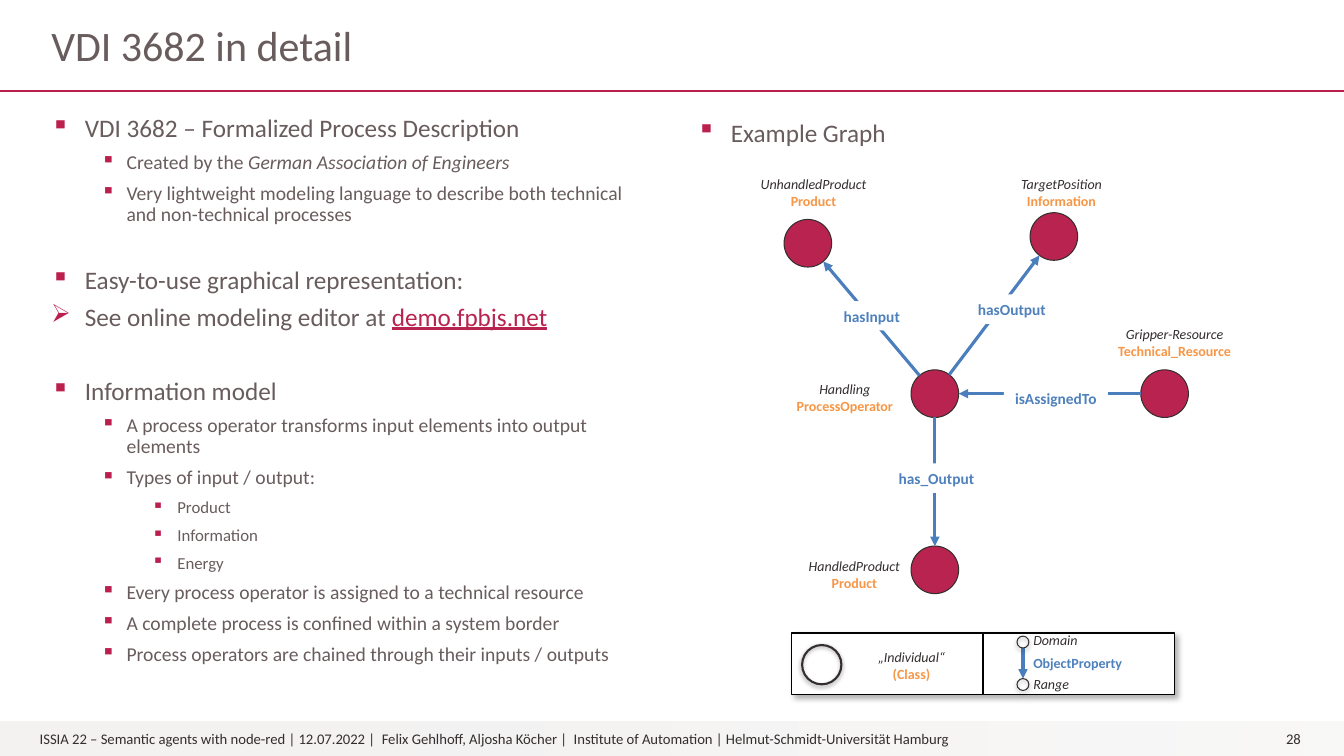
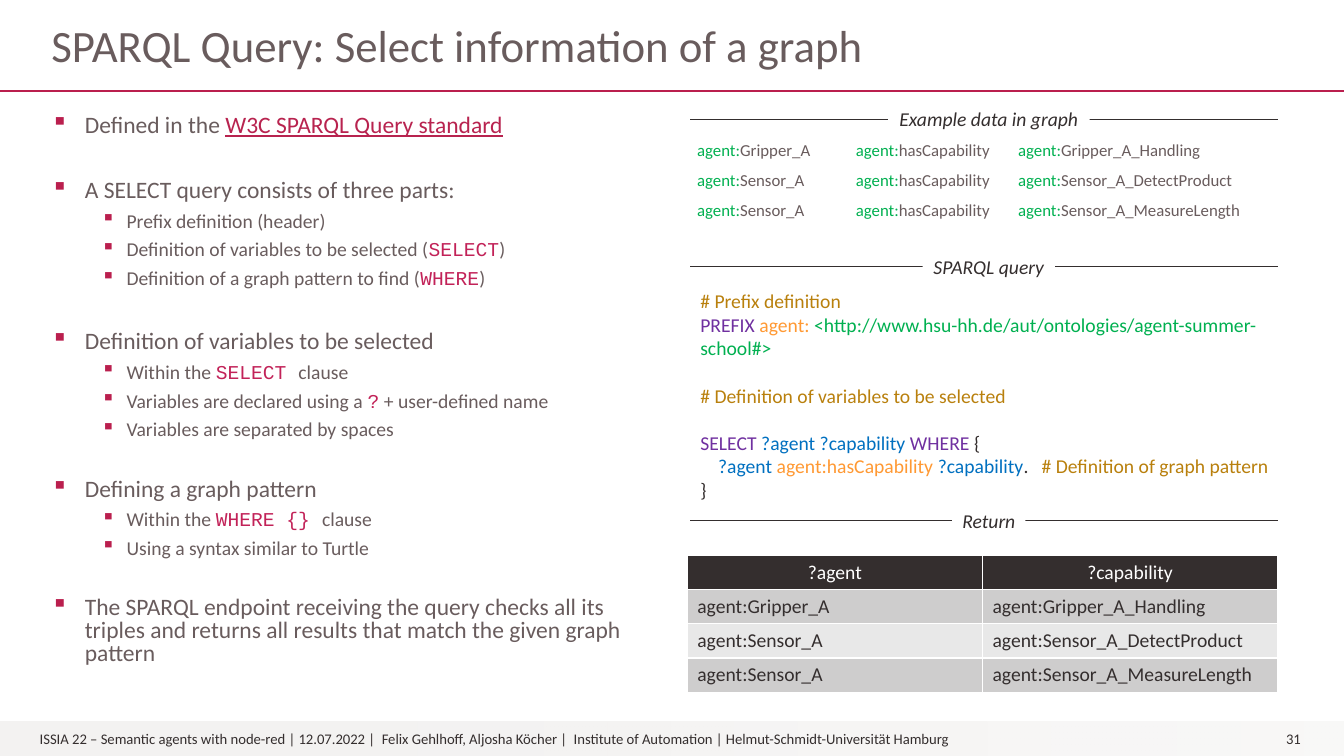
from math import hypot

from lxml.etree import SubElement
from pptx import Presentation
from pptx.dml.color import RGBColor
from pptx.enum.shapes import MSO_CONNECTOR as Link, MSO_SHAPE as Kind
from pptx.enum.text import MSO_ANCHOR as Anchor, MSO_AUTO_SIZE as Fit, PP_ALIGN as Align
from pptx.oxml.ns import qn
from pptx.util import Cm, Pt

RED, ROSE, GREY, DARK = "BA1F4E", "B8234F", "695C5D", "342E2E"
BLUE, SKY, ORANGE, WHITE = "4B7EBC", "4F81BD", "F79646", "FFFFFF"
GREEN, GOLD, PLUM, AMBER, VAR = "00B050", "B9800D", "7030A0", "FF9933", "0070C0"
WIDE, HIGH = 33.87, 19.05
LEFT = (1.04, 2.79, 15.42, 14.76)
INDENT = [(0.85, 0.85), (1.9, 0.64), (3.18, 0.64)]
FOOTER = ("ISSIA 22 – Semantic agents with node-red | 12.07.2022 |  Felix Gehlhoff, "
          "Aljosha Köcher |  Institute of Automation | Helmut-Schmidt-Universität Hamburg")

EM = dict(italic=True)
CODE = dict(color="C22258", name="Courier New")
URL = dict(color=ROSE, underline=True)
PRE = ("agent:", dict(color=GREEN))

# Each block: gap above in points, then (level, runs[, bullet]) items
DETAIL = [
    (0, [(0, "VDI 3682 – Formalized Process Description"),
         (1, ["Created by the ", ("German Association of Engineers", EM)]),
         (1, "Very lightweight modeling language to describe both technical "
             "and non-technical processes")]),
    (27.4, [(0, "Easy-to-use graphical representation:"),
            (0, ["See online modeling editor at ", ("demo.fpbjs.net", URL)], "➢")]),
    (31.8, [(0, "Information model"),
            (1, "A process operator transforms input elements into output elements"),
            (1, "Types of input / output:"),
            (2, "Product"),
            (2, "Information"),
            (2, "Energy"),
            (1, "Every process operator is assigned to a technical resource"),
            (1, "A complete process is confined within a system border"),
            (1, "Process operators are chained through their inputs / outputs")]),
]
QUERY = [
    (0, [(0, ["Defined in the ", ("W3C SPARQL Query standard", URL)])]),
    (28.4, [(0, "A SELECT query consists of three parts:"),
            (1, "Prefix definition (header)"),
            (1, ["Definition of variables to be selected (", ("SELECT", CODE), ")"]),
            (1, ["Definition of a graph pattern to find (", ("WHERE", CODE), ")"])]),
    (28.4, [(0, "Definition of variables to be selected"),
            (1, ["Within the ", ("SELECT ", CODE), "clause"]),
            (1, ["Variables are declared using a ", ("?", CODE), " + user-defined name"]),
            (1, "Variables are separated by spaces")]),
    (25.7, [(0, "Defining a graph pattern"),
            (1, ["Within the ", ("WHERE {} ", CODE), "clause"]),
            (1, "Using a syntax similar to Turtle")]),
    (25.7, [(0, "The SPARQL endpoint receiving the query checks all its triples and "
                "returns all results that match the given graph pattern")]),
]

# Node: centre, then caption (name, class, centre x, top)
NODES = {
    "oper": ((23.56, 9.92), ("Handling", "ProcessOperator", 21.29, 9.47)),
    "raw": ((20.36, 6.13), ("UnhandledProduct", "Product", 20.5, 4.29)),
    "goal": ((26.56, 5.96), ("TargetPosition", "Information", 26.75, 4.29)),
    "grip": ((29.35, 9.92), ("Gripper-Resource", "Technical_Resource", 29.6, 8.08)),
    "done": ((23.56, 14.36), ("HandledProduct", "Product", 21.53, 13.92)),
}
# Edge: from, to, label, label centre, label width
EDGES = [
    ("oper", "raw", "hasInput", (21.97, 7.96), 1.93),
    ("oper", "goal", "hasOutput", (25.5, 7.79), 2.24),
    ("oper", "done", "has_Output", (23.6, 12.05), 2.44),
    ("grip", "oper", "isAssignedTo", (26.61, 10.05), 2.62),
]
HEADS = [("Example data in graph", 3, 5.08), ("SPARQL query", 6.71, 3.33),
         ("Return", 13.11, 1.85)]
FACTS = [("Gripper_A", "Gripper_A_Handling"), ("Sensor_A", "Sensor_A_DetectProduct"),
         ("Sensor_A", "Sensor_A_MeasureLength")]
SPARQL = [
    [[("# Prefix definition", GOLD)],
     [("PREFIX ", PLUM), ("agent: ", AMBER),
      ("<http://www.hsu-hh.de/aut/ontologies/agent-summer-school#>", GREEN)]],
    [[("# Definition of variables to be selected", GOLD)]],
    [[("SELECT ", PLUM), ("?agent ?capability ", VAR), ("WHERE ", PLUM), ("{", DARK)],
     [("    ?agent ", VAR), ("agent:hasCapability ", AMBER), ("?capability", VAR),
      (".\t", DARK), ("# Definition of graph pattern", GOLD)],
     [("}", DARK)]],
]


def rgb(code):
    return RGBColor.from_string(code)


def style(font, **look):
    for key, val in look.items():
        if key == "color":
            font.color.rgb = rgb(val)
        else:
            setattr(font, key, Pt(val) if key == "size" else val)


def write(par, runs, tabs=(), **look):
    """Fill a paragraph with plain strings or (text, look) runs."""
    if tabs:
        stops = SubElement(par._p.get_or_add_pPr(), qn("a:tabLst"))
        for pos in tabs:
            SubElement(stops, qn("a:tab"), pos=str(Cm(pos)), algn="l")
    style(par.font, **{"name": "Calibri", "color": GREY, **look})
    for part in [runs] if isinstance(runs, str) else runs:
        text, own = (part, {}) if isinstance(part, str) else part
        run = par.add_run()
        run.text = text
        style(run.font, **own)


def next_par(frame, first):
    return frame.paragraphs[0] if first else frame.add_paragraph()


def text_box(shapes, box, rows=(), align=Align.LEFT, **look):
    frame = shapes.add_textbox(*map(Cm, box)).text_frame
    frame.word_wrap = True
    for i, runs in enumerate(rows):
        par = next_par(frame, i == 0)
        par.alignment = align
        write(par, runs, **look)
    return frame


def bullets(slide, box, blocks, sizes, pitch):
    frame = text_box(slide.shapes, box)
    first = True
    for gap, items in blocks:
        for i, (level, runs, *mark) in enumerate(items):
            par = next_par(frame, first)
            par.level = level
            props = par._p.get_or_add_pPr()
            left, hang = INDENT[level]
            props.set("marL", str(Cm(left)))
            props.set("indent", str(-Cm(hang)))
            SubElement(SubElement(props, qn("a:buClr")), qn("a:srgbClr"), val=RED)
            SubElement(props, qn("a:buChar"), char=mark[0] if mark else "▪")
            par.line_spacing = pitch
            par.space_before = Pt(0 if first else 5 if i else gap)
            par.space_after = Pt(2)
            write(par, runs, size=sizes[level])
            first = False


def shape(shapes, kind, mid, area, fill=None, line=None, width=0.75):
    """Add a preset shape around its centre."""
    (x, y), (w, h) = mid, area
    item = shapes.add_shape(kind, Cm(x - w / 2), Cm(y - h / 2), Cm(w), Cm(h))
    item.shadow.inherit = False
    if fill:
        item.fill.solid()
        item.fill.fore_color.rgb = rgb(fill)
    else:
        item.fill.background()
    if line:
        item.line.color.rgb = rgb(line)
        item.line.width = Pt(width)
    else:
        item.line.fill.background()
    return item


def shade(item, alpha, blur, dist, angle):
    cast = SubElement(item.element.spPr.find(qn("a:effectLst")), qn("a:outerShdw"),
                      blurRad=str(Pt(blur)), dist=str(Pt(dist)),
                      dir=str(angle * 60000), algn="ctr", rotWithShape="0")
    tone = SubElement(cast, qn("a:srgbClr"), val="000000")
    SubElement(tone, qn("a:alpha"), val=str(alpha * 1000))


def rule(shapes, start, end, color, width, arrow=False):
    line = shapes.add_connector(Link.STRAIGHT, *map(Cm, (*start, *end)))
    line.line.color.rgb = rgb(color)
    line.line.width = Pt(width)
    props = line.element.spPr
    if arrow:
        SubElement(props.find(qn("a:ln")), qn("a:tailEnd"), type="triangle")
    SubElement(props, qn("a:effectLst"))
    return line


def arrow(shapes, start, end, size):
    """Join the rims of two circles of one diameter."""
    dx, dy = end[0] - start[0], end[1] - start[1]
    part = size / 2 / hypot(dx, dy)
    dx, dy = dx * part, dy * part
    rule(shapes, (start[0] + dx, start[1] + dy), (end[0] - dx, end[1] - dy),
         BLUE, 2.25, True)


def label(shapes, text, mid, area, **look):
    frame = shape(shapes, Kind.RECTANGLE, mid, area, WHITE).text_frame
    frame.word_wrap = False
    frame.vertical_anchor = Anchor.MIDDLE
    frame.paragraphs[0].alignment = Align.CENTER
    write(frame.paragraphs[0], text, **look)


def caption(shapes, name, group, x, top):
    rows = [[(name, EM)], [(group, dict(bold=True, color=ORANGE))]]
    text_box(shapes, (x - 2, top, 4, 1.12), rows, Align.CENTER, size=10, color=DARK)


def new_slide(deck, title, size, number):
    slide = deck.slides.add_slide(deck.slide_layouts[5])
    head = slide.shapes.title
    head.left, head.top, head.width, head.height = map(Cm, (1.04, 0.25, 28.85, 1.93))
    frame = head.text_frame
    frame.auto_size = Fit.NONE
    frame.vertical_anchor = Anchor.MIDDLE
    par = frame.paragraphs[0]
    par.alignment = Align.LEFT
    par.line_spacing = 0.9
    write(par, title, size=size)

    bar = shape(slide.shapes, Kind.RECTANGLE, (WIDE / 2, 18.62), (WIDE, 0.88))
    bar.fill.gradient()
    bar.fill.gradient_angle = 0
    for stop, pos in zip(bar.fill.gradient_stops, (0.28, 1)):
        stop.position = pos
        stop.color.rgb = rgb("A69D97")
    for tone, alpha in zip(bar.element.spPr.iter(qn("a:srgbClr")), (13, 7)):
        SubElement(tone, qn("a:alpha"), val=str(alpha * 1000))
    frame = bar.text_frame
    frame.margin_left = Cm(1)
    frame.vertical_anchor = Anchor.MIDDLE
    frame.paragraphs[0].alignment = Align.LEFT
    write(frame.paragraphs[0], FOOTER, size=10.5, color=DARK)
    text_box(slide.shapes, (32.16, 18.26, 1.4, 0.71), [number], size=10.5, color=DARK)
    rule(slide.shapes, (0, 2.29), (WIDE, 2.29), RED, 1.5)
    return slide


def legend(slide):
    shapes = slide.shapes.add_group_shape().shapes
    panel = shape(shapes, Kind.RECTANGLE, (24.77, 16.73), (9.65, 1.55), WHITE, "000000", 1)
    shade(panel, 31, 4, 3, 45)
    split = rule(shapes, (24.77, 15.95), (24.77, 17.5), "000000", 1)
    split.begin_connect(panel, 0)
    split.end_connect(panel, 2)
    caption(shapes, "„Individual“", "(Class)", 22.97, 16.21)
    ends = (25.78, 16.18), (25.78, 17.25)
    arrow(shapes, *ends, 0.3)
    for mid, size, width in [((20.71, 16.75), 0.99, 1.5)] + [(end, 0.3, 0.75) for end in ends]:
        ring = shape(shapes, Kind.OVAL, mid, (size, size), None, DARK, width)
        shade(ring, 38, 3.1, 1.6, 90)
    for text, top, look in [("Domain", 15.8, dict(italic=True, color=DARK)),
                            ("ObjectProperty", 16.36, dict(bold=True, color=SKY)),
                            ("Range", 16.89, dict(italic=True, color=DARK))]:
        text_box(shapes, (25.79, top, 3.1, 0.69), [text], size=10, **look)


def detail_slide(deck):
    slide = new_slide(deck, "VDI 3682 in detail", 30, "28")
    shapes = slide.shapes
    bullets(slide, LEFT, DETAIL, (18, 14, 12), 0.9)
    bullets(slide, (17.32, 2.82, 15.42, 1.12), [(0, [(0, "Example Graph")])], (18,), 1.0)
    for mid, words in NODES.values():
        shape(shapes, Kind.OVAL, mid, (1.2, 1.2), ROSE, DARK)
        caption(shapes, *words)
    for start, end, *_ in EDGES:
        arrow(shapes, NODES[start][0], NODES[end][0], 1.2)
    for *_, text, mid, width in EDGES:
        label(shapes, text, mid, (width, 0.74), size=11, bold=True, color=SKY)
    legend(slide)


def query_slide(deck):
    slide = new_slide(deck, "SPARQL Query: Select information of a graph", 32, "31")
    shapes = slide.shapes
    bullets(slide, LEFT, QUERY, (16.8, 14), 0.8)
    for text, y, width in HEADS:
        rule(shapes, (17.4, y), (32.21, y), DARK, 0.5)
        label(shapes, text, (24.92, y), (width, 0.86), size=14, italic=True, color=DARK)

    triples = [[PRE, f"{who}\t", PRE, "hasCapability\t", PRE, what] for who, what in FACTS]
    frame = text_box(shapes, (17.32, 3.4, 14.88, 2.79), triples, tabs=(4, 8.09), size=12)
    for i, par in enumerate(frame.paragraphs):
        par.space_before, par.space_after = Pt(5 if i else 0), Pt(2)

    frame = text_box(shapes, (17.4, 7.16, 15.04, 5.64))
    for b, block in enumerate(SPARQL):
        for i, parts in enumerate(block):
            par = next_par(frame, b == i == 0)
            par.space_before = Pt(17 if b and i == 0 else 0)
            write(par, [(text, dict(color=tone)) for text, tone in parts],
                  tabs=(8.6,), size=14)

    rows = [("?agent", "?capability")] + [[f"agent:{name}" for name in fact] for fact in FACTS]
    table = shapes.add_table(len(rows), 2, *map(Cm, (17.32, 14, 14.88, 3.44))).table
    for r, row in enumerate(rows):
        table.rows[r].height = Cm(0.86)
        for c, text in enumerate(row):
            cell = table.cell(r, c)
            cell.fill.solid()
            cell.fill.fore_color.rgb = rgb(("CECDCD" if r % 2 else "E8E8E8") if r else DARK)
            par = cell.text_frame.paragraphs[0]
            par.alignment = Align.LEFT if r else Align.CENTER
            write(par, text, size=14, bold=False, color=DARK if r else WHITE)


def main():
    deck = Presentation()
    deck.slide_width, deck.slide_height = Cm(WIDE), Cm(HIGH)
    detail_slide(deck)
    query_slide(deck)
    deck.save("out.pptx")


if __name__ == "__main__":
    main()
